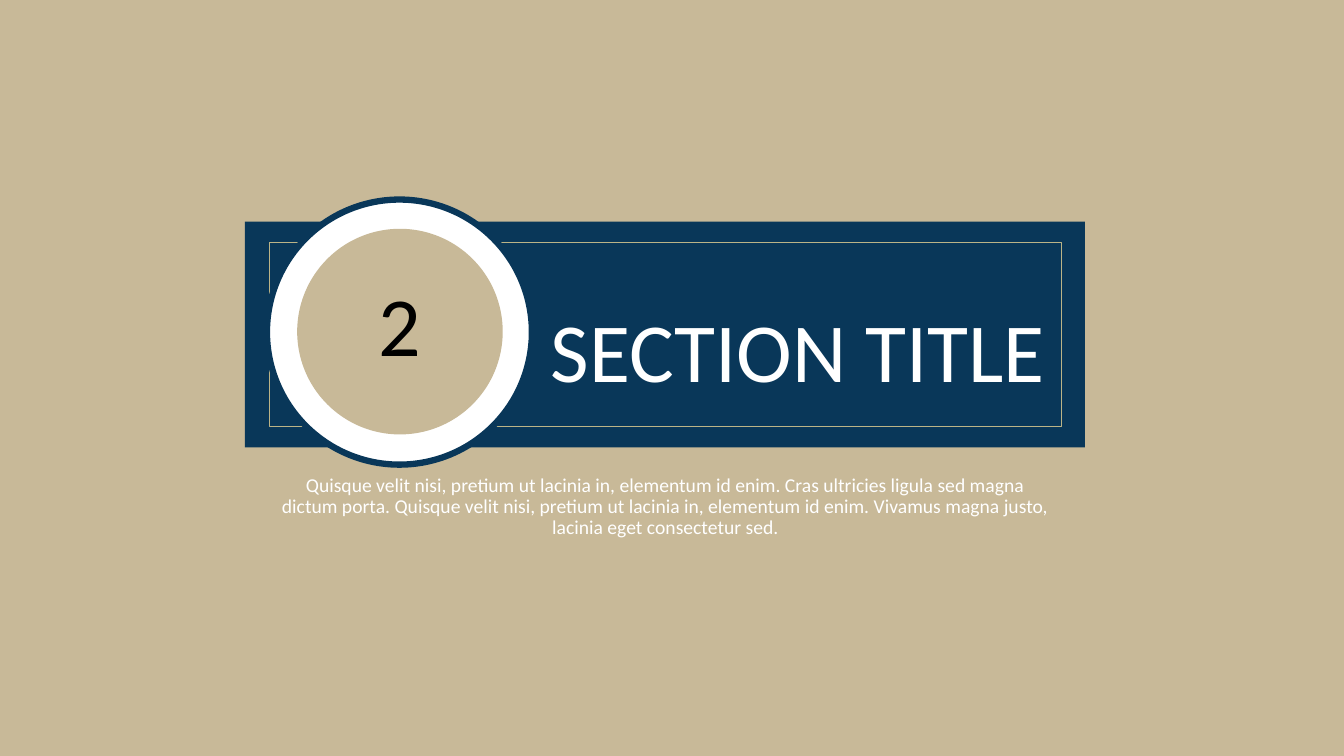
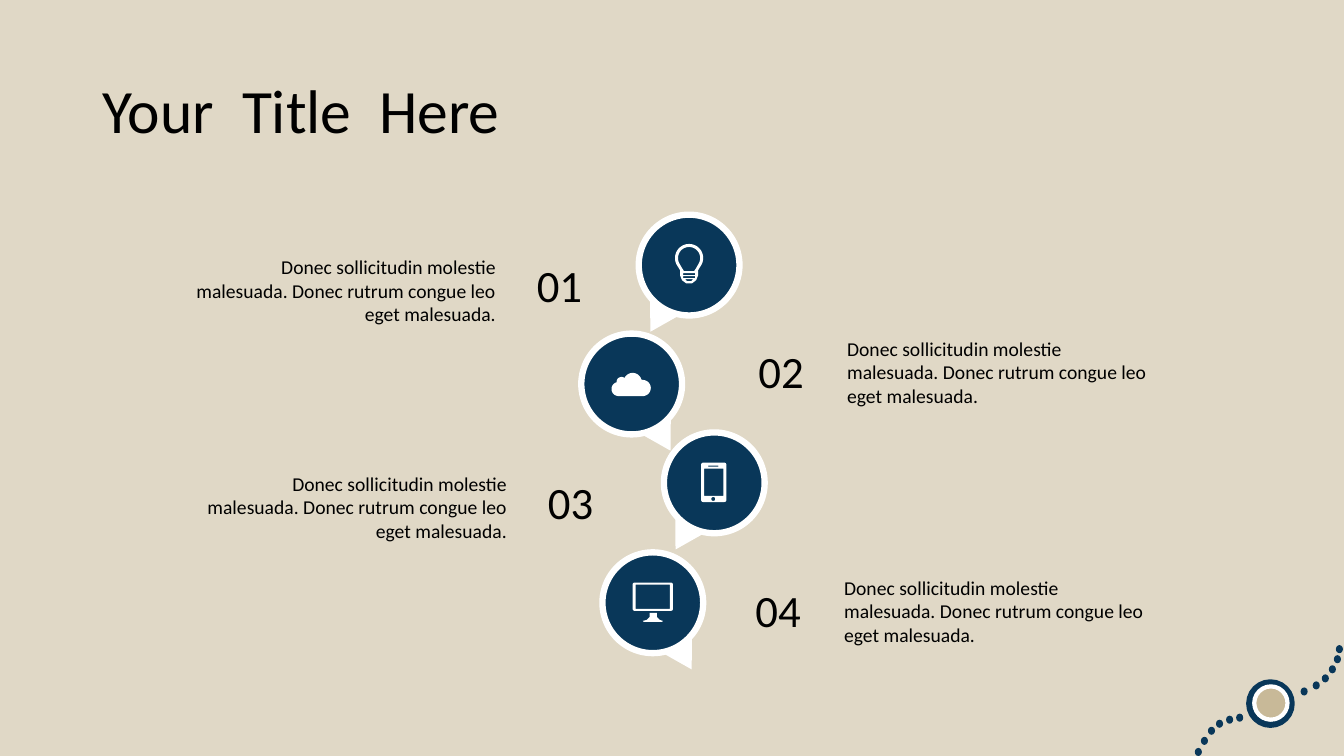
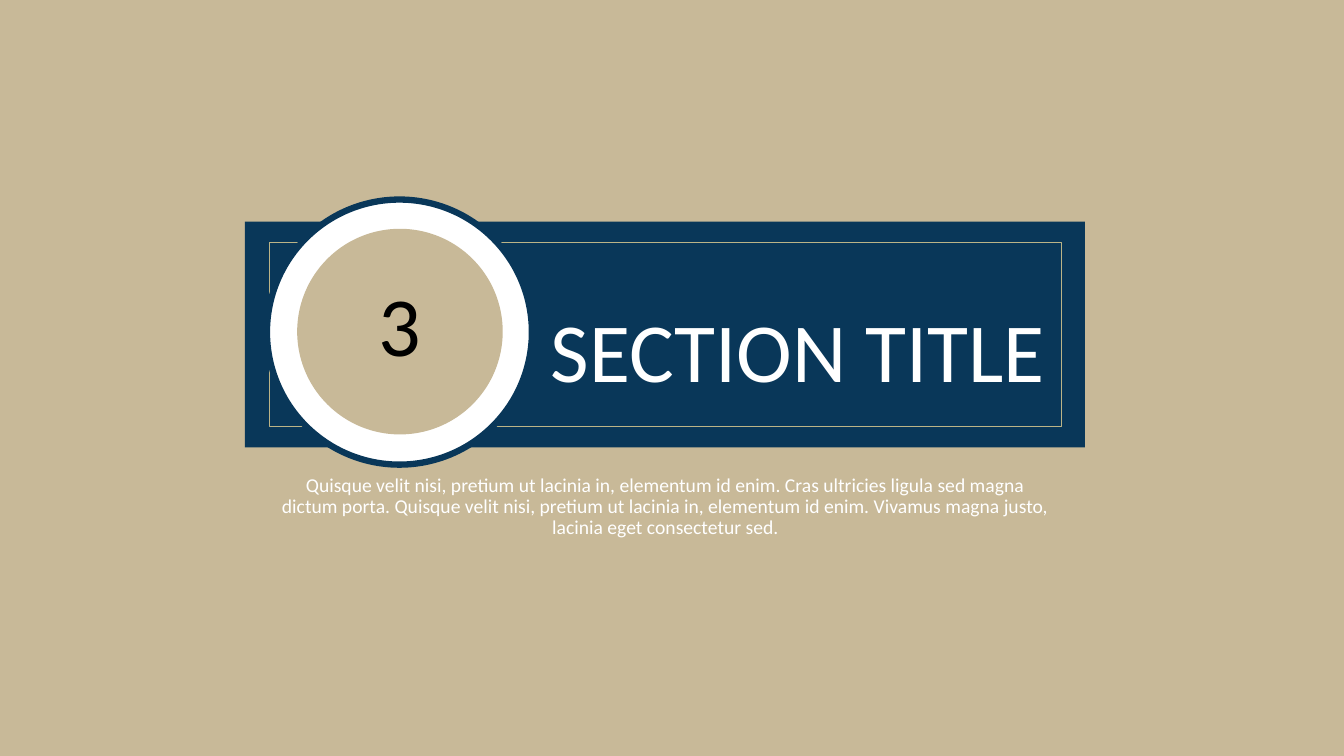
from dataclasses import dataclass
from math import cos, radians, sin

from pptx import Presentation
from pptx.dml.color import RGBColor
from pptx.enum.shapes import MSO_SHAPE
from pptx.enum.text import MSO_ANCHOR, MSO_AUTO_SIZE, PP_ALIGN
from pptx.shapes.autoshape import Shape
from pptx.slide import Slide
from pptx.util import Emu, Pt

PX = 9144
FONT = "Calibri"
COLORS = {
    "navy": "093759",
    "tan": "C8B998",
    "sand": "E0D8C6",
    "frame": "BBB487",
    "white": "FFFFFF",
    "black": "000000",
}
SECTION_TEXT = (
    "Quisque velit nisi, pretium ut lacinia in, elementum id enim. "
    "Cras ultricies ligula sed magna dictum porta. "
    "Quisque velit nisi, pretium ut lacinia in, elementum id enim. "
    "Vivamus magna justo, lacinia eget consectetur sed."
)
ITEM_TEXT = (
    "Donec sollicitudin molestie malesuada. "
    "Donec rutrum congue leo eget malesuada."
)
DOTS = [
    (1186, 742), (1192, 731), (1199, 721), (1207, 714), (1217, 710), (1227, 708),
    (1291, 682), (1303, 676), (1312, 669), (1319, 660), (1324, 650), (1326, 640),
]

Point = tuple[float, float]
Contour = list[Point]


@dataclass(frozen=True)
class Area:
    left: int
    top: int
    width: int
    height: int

    def emu(self) -> tuple[Emu, Emu, Emu, Emu]:
        return (Emu(self.left * PX), Emu(self.top * PX),
                Emu(self.width * PX), Emu(self.height * PX))


@dataclass(frozen=True)
class TextStyle:
    size: int
    color: str = "black"
    align: PP_ALIGN = PP_ALIGN.LEFT
    anchor: MSO_ANCHOR = MSO_ANCHOR.TOP
    spacing: float = 1.0
    grow: bool = False


SLIDE_TITLE = TextStyle(44, anchor=MSO_ANCHOR.MIDDLE, spacing=0.9)
SECTION_TITLE = TextStyle(60, "white", PP_ALIGN.CENTER, MSO_ANCHOR.MIDDLE, 0.9)
SECTION_NUMBER = TextStyle(60, "black", PP_ALIGN.CENTER, MSO_ANCHOR.MIDDLE, 0.9)
SECTION_BODY = TextStyle(14, "white", PP_ALIGN.CENTER, spacing=0.9)
ITEM_NUMBER = TextStyle(32, grow=True)
ITEM_LEFT = TextStyle(14, align=PP_ALIGN.RIGHT, grow=True)
ITEM_RIGHT = TextStyle(14, grow=True)


@dataclass(frozen=True)
class Item:
    number: str
    bubble: tuple[int, int]
    label: tuple[int, int]
    text_on_left: bool
    icon: list[list[Contour]]


def arc(x: int, y: int, radius: int, start: int, end: int) -> Contour:
    steps = 24
    angles = [radians(start + (end - start) * step / steps) for step in range(steps + 1)]
    return [(x + radius * cos(angle), y + radius * sin(angle)) for angle in angles]


def rectangle(left: int, top: int, width: int, height: int) -> Contour:
    right, bottom = left + width, top + height
    return [(left, top), (right, top), (right, bottom), (left, bottom)]


def rounded(left: int, top: int, width: int, height: int, radius: int) -> Contour:
    corners = rectangle(left + radius, top + radius,
                        width - 2 * radius, height - 2 * radius)
    return [
        point
        for turn, (x, y) in enumerate(corners)
        for point in arc(x, y, radius, 180 + 90 * turn, 270 + 90 * turn)
    ]


BULB = [[
    arc(684, 256, 14, 155, 385) + [
        (693, 268), (693, 273), (691, 278), (687, 281),
        (681, 281), (677, 278), (675, 273), (675, 268),
    ],
    arc(684, 256, 11, 150, 390) + [(691, 266), (689, 269), (679, 269), (677, 266)],
    rectangle(678, 271, 12, 2),
    rectangle(678, 274, 12, 2),
    [(680, 277), (688, 277), (686, 279), (682, 279)],
]]
CLOUD = [[
    arc(614, 386, 7, 90, 260)
    + arc(617, 379, 5, 170, 290)
    + arc(628, 379, 9, 205, 345)
    + arc(638, 385, 8, -80, 90),
]]
PHONE = [[
    rounded(696, 459, 25, 39, 2),
    rectangle(699, 465, 19, 27),
    rectangle(703, 462, 10, 1),
    arc(708, 495, 2, 0, 360),
]]
MONITOR = [
    [rounded(628, 578, 40, 28, 2), rectangle(631, 580, 34, 24)],
    [[
        (645, 608), (652, 608), (652, 612), (655, 615), (658, 616),
        (657, 617), (639, 617), (638, 616), (642, 615), (645, 612),
    ]],
]
ITEMS = [
    Item("01", (634, 213), (523, 251), True, BULB),
    Item("02", (577, 331), (743, 336), False, CLOUD),
    Item("03", (659, 429), (534, 466), True, PHONE),
    Item("04", (598, 548), (740, 573), False, MONITOR),
]


def rgb(color: str) -> RGBColor:
    return RGBColor.from_string(COLORS[color])


def paint(shape: Shape, fill: str | None, line: str | None = None,
          weight: float = 0) -> None:
    shape.shadow.inherit = False
    if fill:
        shape.fill.solid()
        shape.fill.fore_color.rgb = rgb(fill)
    else:
        shape.fill.background()
    if line:
        shape.line.color.rgb = rgb(line)
        shape.line.width = Pt(weight)
    else:
        shape.line.fill.background()


def add_figure(page: Slide, kind: MSO_SHAPE, area: Area, fill: str | None,
               line: str | None = None, weight: float = 0, rotation: int = 0) -> None:
    shape = page.shapes.add_shape(kind, *area.emu())
    shape.rotation = rotation
    paint(shape, fill, line, weight)


def add_outline(page: Slide, contours: list[Contour]) -> None:
    scaled = [[(round(x * PX), round(y * PX)) for x, y in contour] for contour in contours]
    builder = page.shapes.build_freeform(*scaled[0][0], scale=1.0)
    builder.add_line_segments(scaled[0][1:], close=True)
    for contour in scaled[1:]:
        builder.move_to(*contour[0])
        builder.add_line_segments(contour[1:], close=True)
    paint(builder.convert_to_shape(), "white")


def add_text(page: Slide, area: Area, text: str, style: TextStyle) -> None:
    frame = page.shapes.add_textbox(*area.emu()).text_frame
    frame.text = text
    frame.word_wrap = True
    frame.vertical_anchor = style.anchor
    frame.auto_size = MSO_AUTO_SIZE.SHAPE_TO_FIT_TEXT if style.grow else MSO_AUTO_SIZE.NONE
    para = frame.paragraphs[0]
    para.alignment = style.align
    para.line_spacing = style.spacing
    font = para.runs[0].font
    font.name = FONT
    font.size = Pt(style.size)
    font.color.rgb = rgb(style.color)


def add_page(deck: Presentation, background: str) -> Slide:
    page = deck.slides.add_slide(deck.slide_layouts[6])
    page.background.fill.solid()
    page.background.fill.fore_color.rgb = rgb(background)
    return page


def add_section(deck: Presentation, number: str) -> None:
    page = add_page(deck, "tan")
    add_figure(page, MSO_SHAPE.RECTANGLE, Area(243, 220, 834, 224), "navy")
    add_figure(page, MSO_SHAPE.RECTANGLE, Area(267, 240, 787, 183), None, "frame", 0.5)
    add_figure(page, MSO_SHAPE.OVAL, Area(265, 198, 263, 263), "white", "navy", 4.5)
    add_figure(page, MSO_SHAPE.OVAL, Area(295, 227, 204, 204), "tan")
    add_text(page, Area(267, 467, 787, 164), SECTION_TEXT, SECTION_BODY)
    add_text(page, Area(530, 283, 524, 139), "SECTION TITLE", SECTION_TITLE)
    add_text(page, Area(295, 222, 204, 209), number, SECTION_NUMBER)


def add_ornament(page: Slide) -> None:
    for left, top in DOTS:
        add_figure(page, MSO_SHAPE.OVAL, Area(left, top, 7, 8), "navy")
    add_figure(page, MSO_SHAPE.OVAL, Area(1240, 677, 42, 42), "white", "navy", 4.5)
    add_figure(page, MSO_SHAPE.OVAL, Area(1245, 681, 33, 33), "tan", "white", 3)


def add_item(page: Slide, item: Item) -> None:
    left, top = item.bubble
    tail_shift, tail_rotation = (2, 210) if item.text_on_left else (65, 150)
    add_figure(page, MSO_SHAPE.OVAL, Area(left, top, 100, 100), "navy", "white", 4.5)
    add_figure(page, MSO_SHAPE.ISOSCELES_TRIANGLE,
               Area(left + tail_shift, top + 90, 33, 28), "white", rotation=tail_rotation)
    for contours in item.icon:
        add_outline(page, contours)

    left, top = item.label
    text_x, text_y, style = (-339, -3, ITEM_LEFT) if item.text_on_left else (88, -7, ITEM_RIGHT)
    add_text(page, Area(left + text_x, top + text_y, 318, 80), ITEM_TEXT, style)
    add_text(page, Area(left, top, 88, 64), item.number, ITEM_NUMBER)


def add_steps(deck: Presentation) -> None:
    page = add_page(deck, "sand")
    add_ornament(page)
    add_text(page, Area(92, 40, 1150, 145), "Your  Title  Here", SLIDE_TITLE)
    for item in ITEMS:
        add_item(page, item)


def main() -> None:
    deck = Presentation()
    deck.slide_width = Emu(1334 * PX)
    deck.slide_height = Emu(750 * PX)
    add_section(deck, "2")
    add_steps(deck)
    add_section(deck, "3")
    deck.save("out.pptx")


if __name__ == "__main__":
    main()
